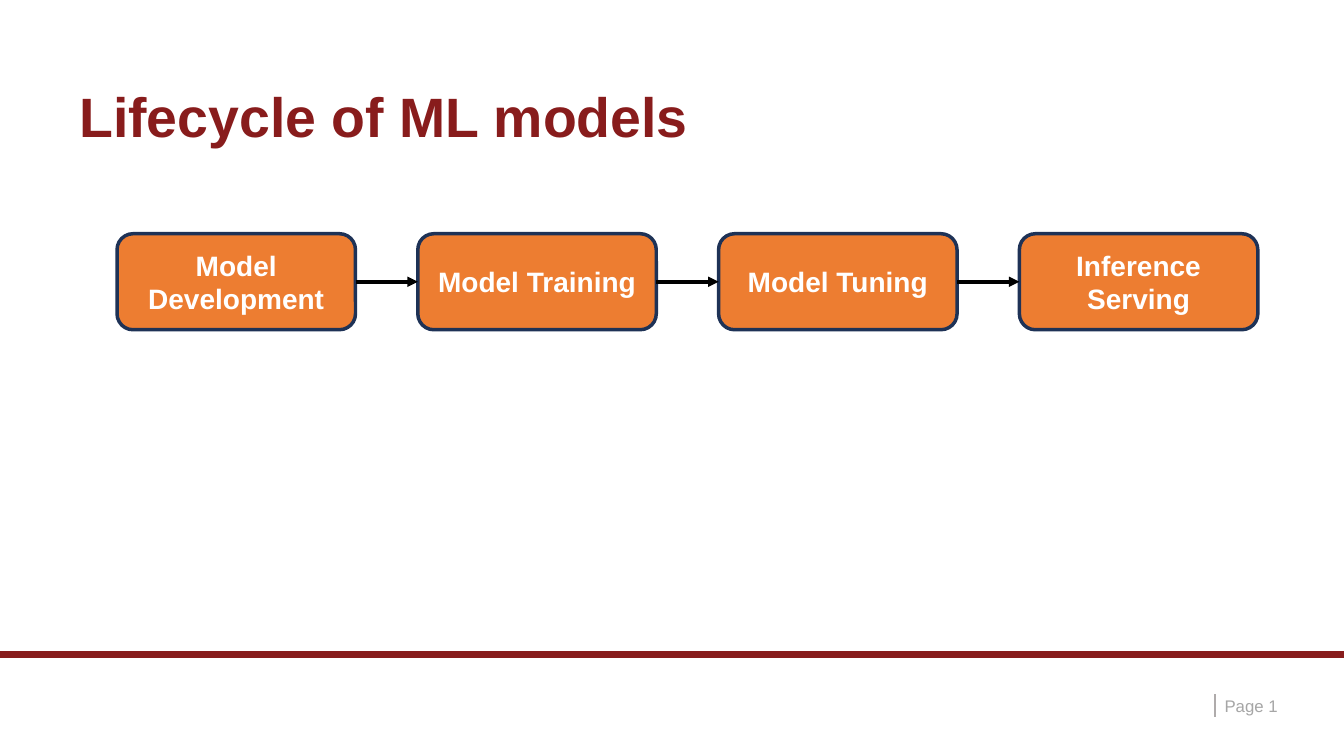
"""Builds the slide on the lifecycle of ML models."""
from itertools import pairwise

from lxml.etree import SubElement
from pptx import Presentation
from pptx.dml.color import RGBColor
from pptx.enum.shapes import MSO_CONNECTOR as Connector, MSO_SHAPE as Preset
from pptx.enum.text import MSO_ANCHOR as Anchor, PP_ALIGN as Align
from pptx.oxml.ns import qn
from pptx.util import Cm, Pt

TITLE = "Lifecycle of ML models"
STAGES = ["Model Development", "Model Training", "Model Tuning", "Inference Serving"]
PAGE = "Page 1"

COLORS = {
    "maroon": "881C1C", "orange": "ED7D31", "navy": "1E3256",
    "white": "FFFFFF", "black": "000000", "divider": "AFABAB", "page": "A6A6A6",
}
FONTS = {
    "title": {"name": "Arial", "size": Pt(39.6), "bold": True},
    "stage": {"name": "Arial", "size": Pt(20), "bold": True},
    "page": {"name": "Arial", "size": Pt(12), "bold": False},
}
SLIDE_WIDTH, SLIDE_HEIGHT = 33.87, 19.05
STAGE_LEFT, STAGE_TOP, STAGE_WIDTH, STAGE_HEIGHT = 2.95, 5.89, 6.01, 2.42
STAGE_PITCH = 7.58
PAGE_LEFT, PAGE_TOP, PAGE_HEIGHT = 30.61, 17.5, 0.57


def rgb(color):
    return RGBColor.from_string(COLORS[color])


def write(holder, text, role, color, align=Align.LEFT, spacing=1.0):
    frame = holder.text_frame
    frame.word_wrap = True
    frame.vertical_anchor = Anchor.MIDDLE
    paragraph = frame.paragraphs[0]
    paragraph.text = text
    paragraph.alignment = align
    paragraph.line_spacing = spacing
    for attribute, value in FONTS[role].items():
        setattr(paragraph.font, attribute, value)
    paragraph.font.color.rgb = rgb(color)


def add_block(slide, preset, box, fill, outline=None):
    block = slide.shapes.add_shape(preset, *map(Cm, box))
    block.shadow.inherit = False
    block.fill.solid()
    block.fill.fore_color.rgb = rgb(fill)
    if outline:
        block.line.color.rgb = rgb(outline)
        block.line.width = Pt(2.5)
    else:
        block.line.fill.background()
    return block


def add_line(slide, ends, color, width):
    line = slide.shapes.add_connector(Connector.STRAIGHT, *map(Cm, ends))
    line.line.color.rgb = rgb(color)
    line.line.width = Pt(width)
    SubElement(line._element.spPr, qn("a:effectLst"))
    return line


def add_flow(slide):
    stages = []
    for index, label in enumerate(STAGES):
        box = (STAGE_LEFT + index * STAGE_PITCH, STAGE_TOP, STAGE_WIDTH, STAGE_HEIGHT)
        stage = add_block(slide, Preset.ROUNDED_RECTANGLE, box, "orange", "navy")
        write(stage, label, "stage", "white", Align.CENTER)
        stages.append(stage)
    for before, after in pairwise(stages):
        arrow = add_line(slide, (0, 0, 0, 0), "black", 2.5)
        arrow.begin_connect(before, 3)
        arrow.end_connect(after, 1)
        SubElement(arrow.line._get_or_add_ln(), qn("a:tailEnd"), type="triangle")


def main():
    deck = Presentation()
    deck.slide_width, deck.slide_height = Cm(SLIDE_WIDTH), Cm(SLIDE_HEIGHT)
    slide = deck.slides.add_slide(deck.slide_layouts[6])
    add_line(slide, (PAGE_LEFT, PAGE_TOP, PAGE_LEFT, PAGE_TOP + PAGE_HEIGHT), "divider", 1.25)
    add_block(slide, Preset.RECTANGLE, (0, 16.41, SLIDE_WIDTH, 0.17), "maroon")
    title = slide.shapes.add_textbox(*map(Cm, (1.75, 2.06, 30.4, 1.9)))
    write(title, TITLE, "title", "maroon", spacing=0.9)
    page = slide.shapes.add_textbox(*map(Cm, (PAGE_LEFT, PAGE_TOP, 2.67, PAGE_HEIGHT)))
    write(page, PAGE, "page", "page")
    add_flow(slide)
    deck.save("out.pptx")


if __name__ == "__main__":
    main()
